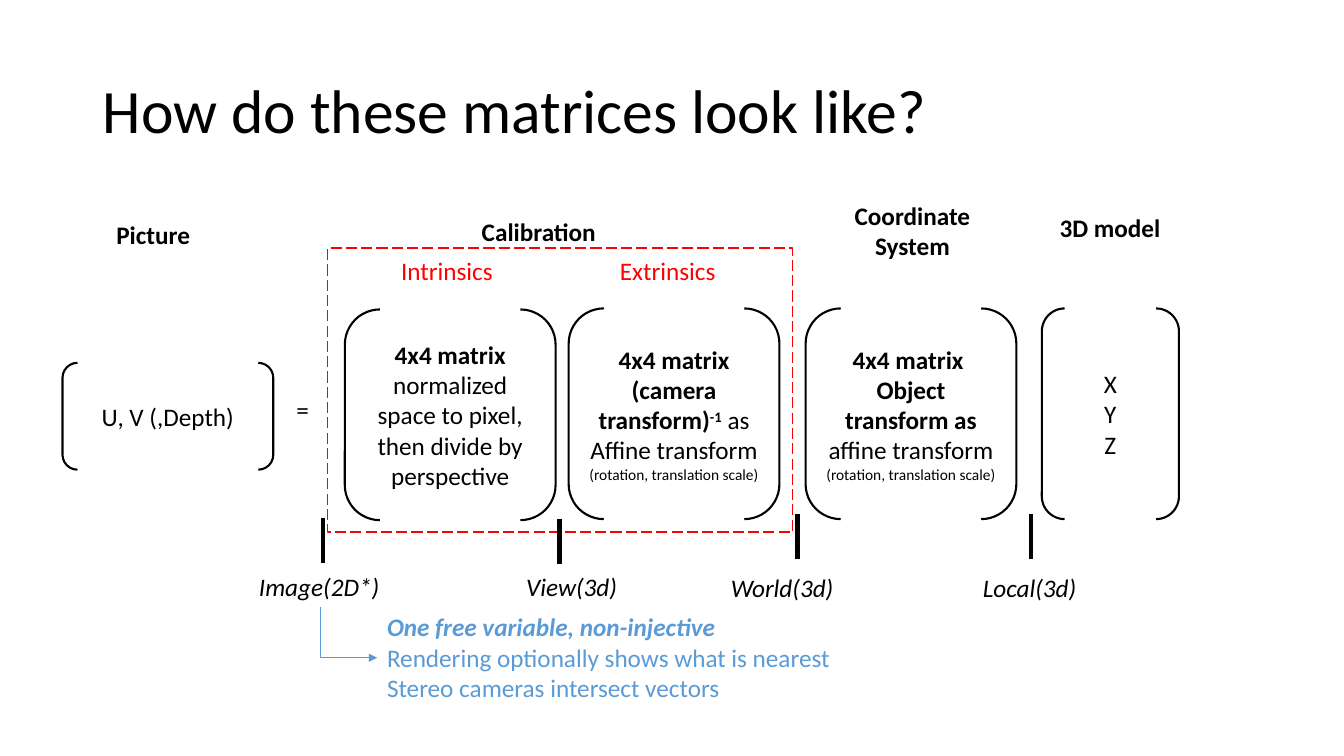
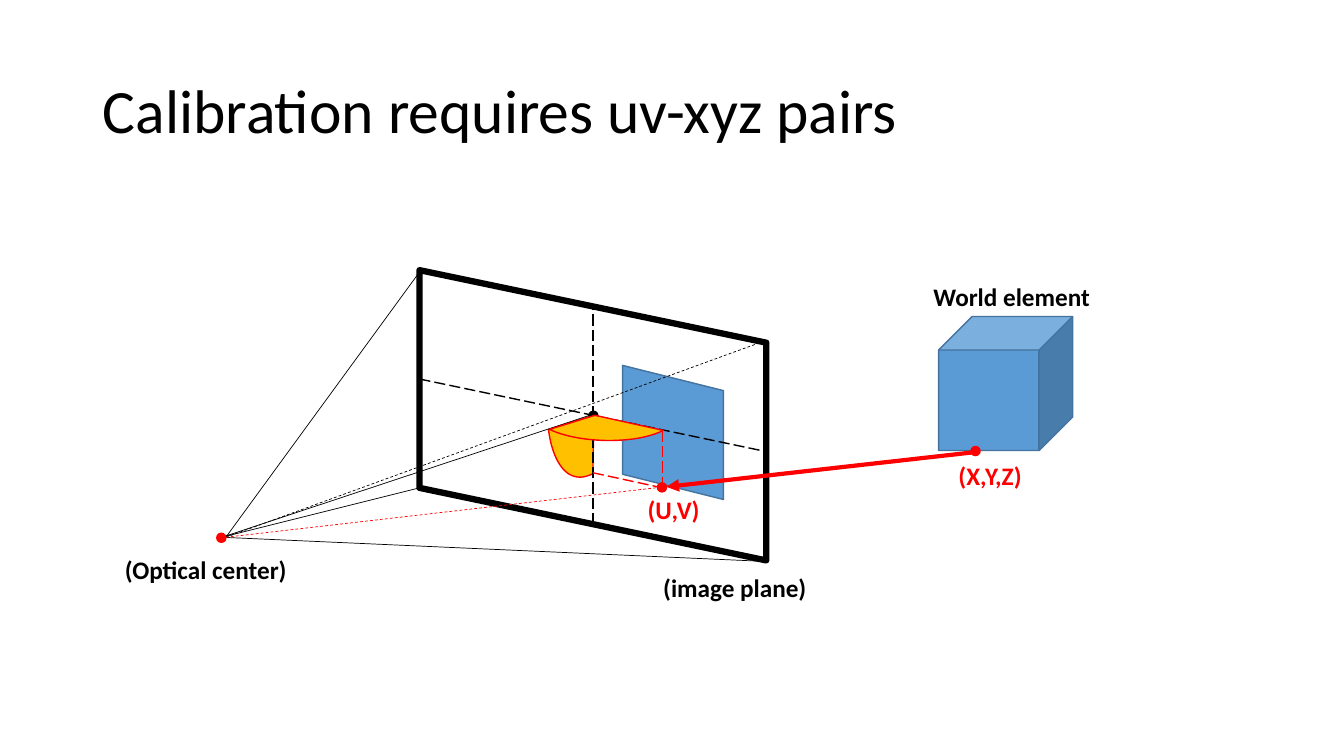
"""Build two slides on camera matrices and calibration."""
from dataclasses import dataclass
from typing import NamedTuple, Optional

from lxml import etree
from pptx import Presentation
from pptx.dml.color import RGBColor
from pptx.enum.dml import MSO_LINE
from pptx.enum.shapes import MSO_CONNECTOR, MSO_SHAPE
from pptx.enum.text import MSO_ANCHOR, MSO_AUTO_SIZE, PP_ALIGN
from pptx.oxml.ns import qn
from pptx.util import Inches, Pt

STRAIGHT, ELBOW = MSO_CONNECTOR.STRAIGHT, MSO_CONNECTOR.ELBOW
BRACKETS, RECT = MSO_SHAPE.DOUBLE_BRACKET, MSO_SHAPE.RECTANGLE
CUBE, OVAL, SLANTED = MSO_SHAPE.CUBE, MSO_SHAPE.OVAL, MSO_SHAPE.PARALLELOGRAM
LONG_DASH, DASH = MSO_LINE.LONG_DASH, MSO_LINE.DASH
LEFT, CENTER = PP_ALIGN.LEFT, PP_ALIGN.CENTER
MIDDLE, TOP = MSO_ANCHOR.MIDDLE, MSO_ANCHOR.TOP
GROW, FIXED = MSO_AUTO_SIZE.SHAPE_TO_FIT_TEXT, MSO_AUTO_SIZE.NONE

WIDTH, HEIGHT = Inches(13.33), Inches(7.5)
ROWS = 45
CELL = HEIGHT / ROWS
TITLE_ONLY = 5
CURVE_STEPS = 24


@dataclass(frozen=True)
class Theme:
    """Colours, font and type sizes of both slides."""
    black: str = "000000"
    red: str = "FF0000"
    blue: str = "5B9BD5"
    edge: str = "43739E"
    amber: str = "FFC000"
    font: str = "Calibri"
    title: float = 44
    body: float = 18
    small: float = 11


T = Theme()


class Box(NamedTuple):
    """Left, top, width and height in grid cells."""
    x: float
    y: float
    w: float
    h: float


class Point(NamedTuple):
    """Column and row on the grid."""
    x: float
    y: float


@dataclass(frozen=True)
class Run:
    """A piece of text with one format."""
    text: str
    bold: bool = False
    italic: bool = False
    size: float = T.body
    color: str = T.black
    raised: bool = False


@dataclass(frozen=True)
class Pen:
    """Colour, width in points and dash of a line."""
    color: str = T.black
    width: float = 1
    dash: Optional[MSO_LINE] = None


@dataclass(frozen=True)
class Bracket:
    """A bracketed matrix with its paragraphs."""
    box: Box
    paragraphs: tuple
    bend: Optional[float] = None


@dataclass(frozen=True)
class Label:
    """A text box holding one paragraph."""
    box: Box
    runs: tuple
    align: PP_ALIGN = LEFT
    wrap: bool = False


@dataclass(frozen=True)
class Segment:
    """A straight line with an optional arrowhead at its end."""
    start: Point
    end: Point
    pen: Pen
    arrow: bool = False


@dataclass(frozen=True)
class Sector:
    """An apex, a rim start and the cubic curve along the rim."""
    apex: Point
    rim: tuple


def emu(cells: float) -> int:
    """Turn grid cells into slide units."""
    return round(cells * CELL)


def place(box: Box) -> tuple:
    """Turn a box into slide units."""
    return tuple(emu(v) for v in box)


def set_pen(line, pen: Pen) -> None:
    """Apply a pen to a line format."""
    line.color.rgb = RGBColor.from_string(pen.color)
    line.width = Pt(pen.width)
    if pen.dash is not None:
        line.dash_style = pen.dash


def set_text(tf, paragraphs: tuple, align: PP_ALIGN, anchor: MSO_ANCHOR) -> None:
    """Fill a text frame run by run."""
    tf.vertical_anchor = anchor
    for i, runs in enumerate(paragraphs):
        p = tf.add_paragraph() if i else tf.paragraphs[0]
        p.alignment = align
        for run in runs:
            for j, part in enumerate(run.text.split("\n")):
                if j:
                    p.add_line_break()
                if part:
                    add_run(p, part, run)


def add_run(p, text: str, run: Run) -> None:
    """Add one formatted run to a paragraph."""
    r = p.add_run()
    r.text = text
    r.font.name, r.font.size = T.font, Pt(run.size)
    r.font.bold, r.font.italic = run.bold, run.italic
    r.font.color.rgb = RGBColor.from_string(run.color)
    if run.raised:
        r.font._element.set("baseline", "30000")


def add_slide(prs, title: str):
    """Add a title-only slide with its formatted title."""
    s = prs.slides.add_slide(prs.slide_layouts[TITLE_ONLY])
    sp = s.shapes.title
    sp.left, sp.top, sp.width, sp.height = place(Box(5.52, 2.4, 69, 8.7))
    tf = sp.text_frame
    tf.auto_size = FIXED
    set_text(tf, ((Run(title, size=T.title),),), LEFT, MIDDLE)
    tf.paragraphs[0].line_spacing = 0.9
    return s


def paint(sp, pen: Pen, fill: Optional[str]) -> None:
    """Give a shape its outline and fill, without shadow."""
    sp.shadow.inherit = False
    set_pen(sp.line, pen)
    if fill:
        sp.fill.solid()
        sp.fill.fore_color.rgb = RGBColor.from_string(fill)
    else:
        sp.fill.background()


def add_shape(s, kind: MSO_SHAPE, box: Box, pen: Pen, fill: Optional[str] = None, turn: float = 0):
    """Draw a preset shape."""
    sp = s.shapes.add_shape(kind, *place(box))
    paint(sp, pen, fill)
    sp.rotation = turn
    return sp


def add_bracket(s, bracket: Bracket) -> None:
    """Draw a bracketed matrix."""
    sp = add_shape(s, BRACKETS, bracket.box, Pen(width=1.5))
    if bracket.bend is not None:
        sp.adjustments[0] = bracket.bend
    set_text(sp.text_frame, bracket.paragraphs, CENTER, MIDDLE)


def add_label(s, label: Label):
    """Draw a text box."""
    sp = s.shapes.add_textbox(*place(label.box))
    tf = sp.text_frame
    tf.word_wrap, tf.auto_size = label.wrap, GROW
    set_text(tf, (label.runs,), label.align, TOP)
    return sp


def finish_connector(cn, pen: Pen, arrow: bool) -> None:
    """Style a connector and remove its shadow."""
    set_pen(cn.line, pen)
    pr = cn._element.spPr
    if arrow:
        etree.SubElement(pr.find(qn("a:ln")), qn("a:tailEnd"), type="triangle")
    etree.SubElement(pr, qn("a:effectLst"))


def add_segment(s, seg: Segment) -> None:
    """Draw a straight line."""
    ends = (emu(v) for v in (*seg.start, *seg.end))
    cn = s.shapes.add_connector(STRAIGHT, *ends)
    finish_connector(cn, seg.pen, seg.arrow)


def add_corner_arrow(s, source, target, pen: Pen) -> None:
    """Join a box's bottom to another's left side with one bend."""
    x, y = source.left + source.width // 2, source.top + source.height
    run, drop = target.left - x, target.top + target.height // 2 - y
    cn = s.shapes.add_connector(ELBOW, x, y, x + run, y + drop)
    cn.begin_connect(source, 2)
    cn.end_connect(target, 1)
    cn.left, cn.top = x + (run - drop) // 2, y + (drop - run) // 2
    cn.width, cn.height = drop, run
    pr = cn._element.spPr
    pr.find(qn("a:prstGeom")).set("prst", "bentConnector2")
    xfrm = pr.find(qn("a:xfrm"))
    xfrm.set("rot", str(270 * 60000))
    xfrm.set("flipH", "1")
    finish_connector(cn, pen, True)


def add_sector(s, sector: Sector) -> None:
    """Draw a sector whose rim is a cubic curve."""
    points = []
    for i in range(CURVE_STEPS + 1):
        t = i / CURVE_STEPS
        weights = ((1 - t) ** 3, 3 * t * (1 - t) ** 2, 3 * t * t * (1 - t), t ** 3)
        points.append(tuple(emu(sum(w * p[axis] for w, p in zip(weights, sector.rim))) for axis in (0, 1)))
    fb = s.shapes.build_freeform(emu(sector.apex.x), emu(sector.apex.y), scale=1.0)
    fb.add_line_segments(points, close=True)
    paint(fb.convert_to_shape(), Pen(T.red), T.amber)


def build_matrices(prs) -> None:
    """Build the slide with the matrix chain."""
    s = add_slide(prs, "How do these matrices look like?")
    detail = Run("(rotation, translation scale)", size=T.small)
    side, top = 12.54, 18.36
    brackets = (
        Bracket(Box(62, top, 8.16, side), ((Run("X\nY\nZ"),),)),
        Bracket(Box(47.94, top, side, side), (
            (Run("4x4 matrix ", True),),
            (Run("Object transform as\n", True), Run("affine transform "), detail))),
        Bracket(Box(33.84, top, side, side), (
            (Run("4x4 matrix (camera transform)", True), Run("-1", True, raised=True),
             Run(" as\nAffine transform "), detail),)),
        Bracket(Box(20.52, 18.42, side, side), (
            (Run("4x4 matrix\n", True), Run("normalized space to pixel, then divide by perspective")),)),
        Bracket(Box(3.72, 21.6, side, 6.36), ((Run("U, V (,Depth)"),),), 0.14),
    )
    for bracket in brackets:
        add_bracket(s, bracket)
    add_label(s, Label(Box(17.04, 23.16, 2.46, 3.06), (Run("="),)))
    add_shape(s, RECT, Box(19.5, 14.76, 27.66, 16.92), Pen(T.red, 1, LONG_DASH))
    for text, x, y, h, align in (("Calibration", 28.08, 12.6, 2.4, LEFT),
                                 ("Coordinate\nSystem", 48.3, 11.64, 4.26, CENTER),
                                 ("3D model", 60.06, 12.36, 2.4, CENTER),
                                 ("Picture", 3.12, 12.78, 2.4, CENTER)):
        add_label(s, Label(Box(x, y, 12, h), (Run(text, True),), align, True))
    for text, x in (("Intrinsics", 23.28), ("Extrinsics", 36.3)):
        add_label(s, Label(Box(x, 14.88, 12, 3.06), (Run(text, color=T.red),), wrap=True))
    spaces = [add_label(s, Label(Box(x, y, w, 2.4), (Run(text, italic=True),)))
              for text, x, y, w in (("Image(2D*)", 14.82, 33.72, 8.46), ("View(3d)", 30.72, 33.72, 6.72),
                                    ("World(3d)", 42.9, 33.78, 7.44), ("Local(3d)", 57.9, 33.78, 6.84))]
    note = add_label(s, Label(Box(22.44, 36.12, 27.9, 6.06), (
        Run("One free variable, non-injective\n", True, True, color=T.blue),
        Run("Rendering optionally shows what is nearest\nStereo cameras intersect vectors", color=T.blue))))
    add_corner_arrow(s, spaces[0], note, Pen(T.blue, 0.5))
    for x, y in ((61.35, 30.6), (47.46, 30.6), (33.3, 30.9), (19.2, 30.84)):
        add_segment(s, Segment(Point(x, y + 2.7), Point(x, y), Pen(width=3)))


def build_calibration(prs) -> None:
    """Build the slide with the projection sketch."""
    s = add_slide(prs, "Calibration requires uv-xyz pairs")
    eye, eye_edge = Point(13.2, 31.98), Point(13.44, 31.98)
    pixel, foot = Point(39.42, 29.04), Point(35.28, 28.14)
    ray, axis, drop = Pen(width=0.5), Pen(dash=LONG_DASH), Pen(T.red, 1, LONG_DASH)
    add_shape(s, CUBE, Box(55.86, 18.84, 7.98, 7.98), Pen(T.edge), T.blue)
    add_sector(s, Sector(Point(35.34, 24.72), (
        Point(32.64, 25.56), Point(32.82, 27.12), Point(33.6, 29.04), Point(35.28, 28.2))))
    add_shape(s, SLANTED, Box(36.06, 22.74, 7.98, 6), Pen(T.edge), T.blue, 270)
    add_shape(s, SLANTED, Box(26.64, 14.4, 17.28, 20.64), Pen(width=4.5), turn=90)
    for seg in (Segment(eye, Point(45.54, 33.42), ray),
                Segment(Point(35.28, 31.2), Point(35.28, 18.24), axis),
                Segment(Point(24.96, 22.56), Point(45.6, 26.88), axis),
                Segment(eye, Point(35.1, 24.72), ray),
                Segment(eye, Point(24.96, 29.04), ray),
                Segment(eye_edge, Point(24.96, 16.2), ray),
                Segment(eye_edge, Point(45.54, 20.28), Pen(width=0.5, dash=DASH))):
        add_segment(s, seg)
    for x, y, color in ((35.04, 24.48, T.black), (12.9, 31.74, T.red),
                        (39.12, 28.74, T.red), (57.78, 26.58, T.red)):
        add_shape(s, OVAL, Box(x, y, 0.54, 0.54), Pen(color), color)
    add_segment(s, Segment(pixel, Point(39.42, 25.62), drop))
    add_segment(s, Segment(foot, pixel, drop))
    add_sector(s, Sector(Point(35.4, 24.72), (
        Point(32.7, 25.56), Point(34.5, 26.4), Point(37.8, 26.46), Point(39.48, 25.62))))
    add_segment(s, Segment(Point(58.32, 26.88), Point(39.66, 28.98), Pen(T.red, 3), True))
    add_segment(s, Segment(eye_edge, Point(58.32, 26.82), Pen(T.red, 0.5, DASH)))
    for text, x, y, w, color, align in (("(U,V)", 37.92, 29.1, 4.32, T.red, CENTER),
                                        ("(X,Y,Z)", 56.4, 27.12, 5.04, T.red, CENTER),
                                        ("World element", 54.96, 16.44, 10.62, T.black, LEFT),
                                        ("(image plane)", 38.88, 33.78, 9.78, T.black, LEFT),
                                        ("(Optical center)", 6.84, 32.7, 10.92, T.black, LEFT)):
        add_label(s, Label(Box(x, y, w, 2.4), (Run(text, True, color=color),), align))


def main() -> None:
    """Build and save the presentation."""
    prs = Presentation()
    prs.slide_width, prs.slide_height = WIDTH, HEIGHT
    build_matrices(prs)
    build_calibration(prs)
    prs.save("out.pptx")


if __name__ == "__main__":
    main()
